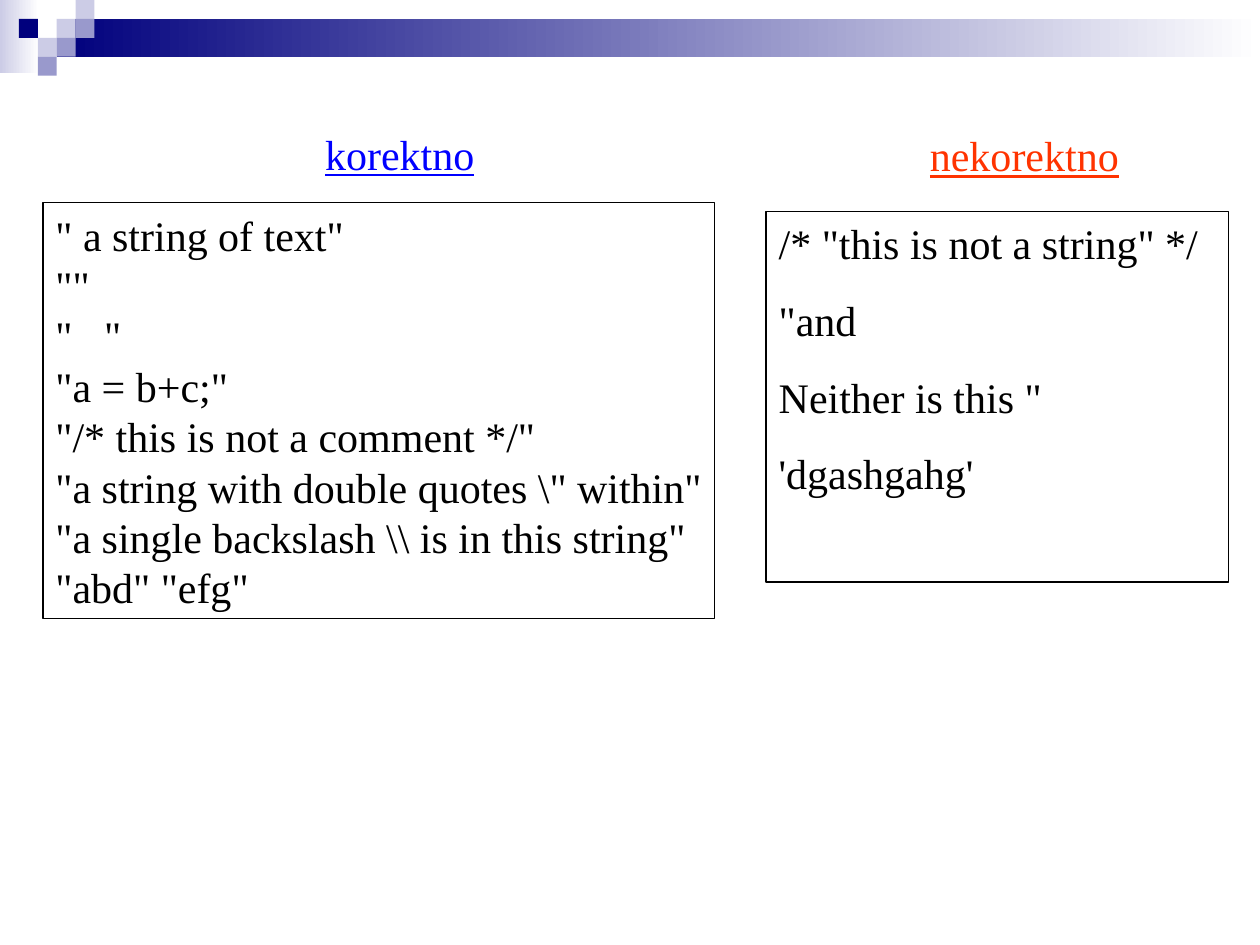
from dataclasses import dataclass

from lxml.etree import SubElement
from pptx import Presentation
from pptx.dml.color import RGBColor
from pptx.enum.shapes import MSO_SHAPE
from pptx.enum.text import MSO_ANCHOR, MSO_AUTO_SIZE, PP_ALIGN
from pptx.oxml.ns import qn
from pptx.util import Inches, Pt


@dataclass(frozen=True)
class Theme:
    navy: RGBColor = RGBColor(0x00, 0x00, 0x7D)
    violet: RGBColor = RGBColor(0x99, 0x99, 0xCC)
    lavender: RGBColor = RGBColor(0xCC, 0xCC, 0xE6)
    white: RGBColor = RGBColor(0xFF, 0xFF, 0xFF)
    ink: RGBColor = RGBColor(0x00, 0x00, 0x00)
    correct: RGBColor = RGBColor(0x00, 0x00, 0xFF)
    incorrect: RGBColor = RGBColor(0xFF, 0x33, 0x00)
    typeface: str = "Times New Roman"
    text_size: Pt = Pt(24)
    line_pitch: Pt = Pt(28.8)
    border: Pt = Pt(0.75)


THEME = Theme()
TILE = 0.15
TILES = [
    (3, 1, THEME.lavender),
    (4, 0, THEME.lavender),
    (4, 1, THEME.violet),
    (2, 2, THEME.lavender),
    (1, 1, THEME.navy),
    (3, 2, THEME.violet),
    (2, 3, THEME.violet),
]
CORRECT_STRINGS = [
    '" a string of text"',
    '""',
    '"   "',
    '"a = b+c;"',
    '"/* this is not a comment */"',
    r'"a string with double quotes \" within"',
    r'"a single backslash \\ is in this string"',
    '"abd" "efg"',
]
INCORRECT_STRINGS = [
    '/* "this is not a string" */',
    '"and',
    'Neither is this "',
    "'dgashgahg'",
]


def apply_format(target, values):
    for name, value in values.items():
        setattr(target, name, value)


def place(shape, left, top, width, height):
    apply_format(shape, {
        "left": Inches(left), "top": Inches(top),
        "width": Inches(width), "height": Inches(height),
    })


def add_block(page, left, top, width, height):
    block = page.shapes.add_shape(
        MSO_SHAPE.RECTANGLE, Inches(left), Inches(top), Inches(width), Inches(height))
    block.shadow.inherit = False
    block.line.fill.background()
    return block


def add_tile(page, column, row, color):
    tile = add_block(page, column * TILE, row * TILE, TILE, TILE)
    tile.fill.solid()
    tile.fill.fore_color.rgb = color


def add_fade(page, bounds, color):
    fade = add_block(page, *bounds)
    fade.fill.gradient()
    fade.fill.gradient_angle = 0
    for stop, position, shade in zip(fade.fill.gradient_stops, (0, 1), (color, THEME.white)):
        stop.position = position
        stop.color.rgb = shade


def remove_bullet(para):
    properties = para._p.get_or_add_pPr()
    properties.set("marL", "0")
    properties.set("indent", "0")
    SubElement(properties, qn("a:buNone"))


def fill_text(box, bounds, lines, color, gap=0, underline=False):
    place(box, *bounds)
    frame = box.text_frame
    apply_format(frame, {
        "word_wrap": True, "auto_size": MSO_AUTO_SIZE.NONE,
        "vertical_anchor": MSO_ANCHOR.TOP,
        "margin_left": Inches(0.1), "margin_right": 0,
        "margin_top": Inches(0.05), "margin_bottom": Inches(0.05),
    })
    for index, line in enumerate(lines):
        para = frame.add_paragraph() if index else frame.paragraphs[0]
        remove_bullet(para)
        apply_format(para, {
            "alignment": PP_ALIGN.LEFT, "line_spacing": THEME.line_pitch,
            "space_before": Pt(gap if index else 0), "space_after": Pt(0),
        })
        span = para.add_run()
        span.text = line
        apply_format(span.font, {
            "name": THEME.typeface, "size": THEME.text_size,
            "bold": False, "underline": underline,
        })
        span.font.color.rgb = color


def fill_heading(box, bounds, label, color):
    fill_text(box, bounds, [label], color, underline=True)


def fill_examples(box, bounds, lines, gap=0):
    fill_text(box, bounds, lines, THEME.ink, gap=gap)
    box.line.color.rgb = THEME.ink
    box.line.width = THEME.border


def add_banner(page):
    add_fade(page, (0, 0, 0.31, 0.58), THEME.lavender)
    add_fade(page, (3 * TILE, TILE, 10 - 3 * TILE, 2 * TILE), THEME.navy)
    for column, row, color in TILES:
        add_tile(page, column, row, color)


def main():
    deck = Presentation()
    apply_format(deck, {"slide_width": Inches(10), "slide_height": Inches(7.5)})
    page = deck.slides.add_slide(deck.slide_layouts.get_by_name("Comparison"))
    title, left_head, left_body, right_head, right_body = list(page.placeholders)[:5]
    title.element.getparent().remove(title.element)

    add_banner(page)
    fill_examples(left_body, (0.34, 1.61, 5.33, 3.3), CORRECT_STRINGS)
    fill_examples(right_body, (6.08, 1.68, 3.67, 2.94), INCORRECT_STRINGS, gap=15)
    fill_heading(left_head, (2.48, 0.97, 1.38, 0.5), "korektno", THEME.correct)
    fill_heading(right_head, (7.28, 0.98, 1.7, 0.5), "nekorektno", THEME.incorrect)
    deck.save("out.pptx")


if __name__ == "__main__":
    main()
